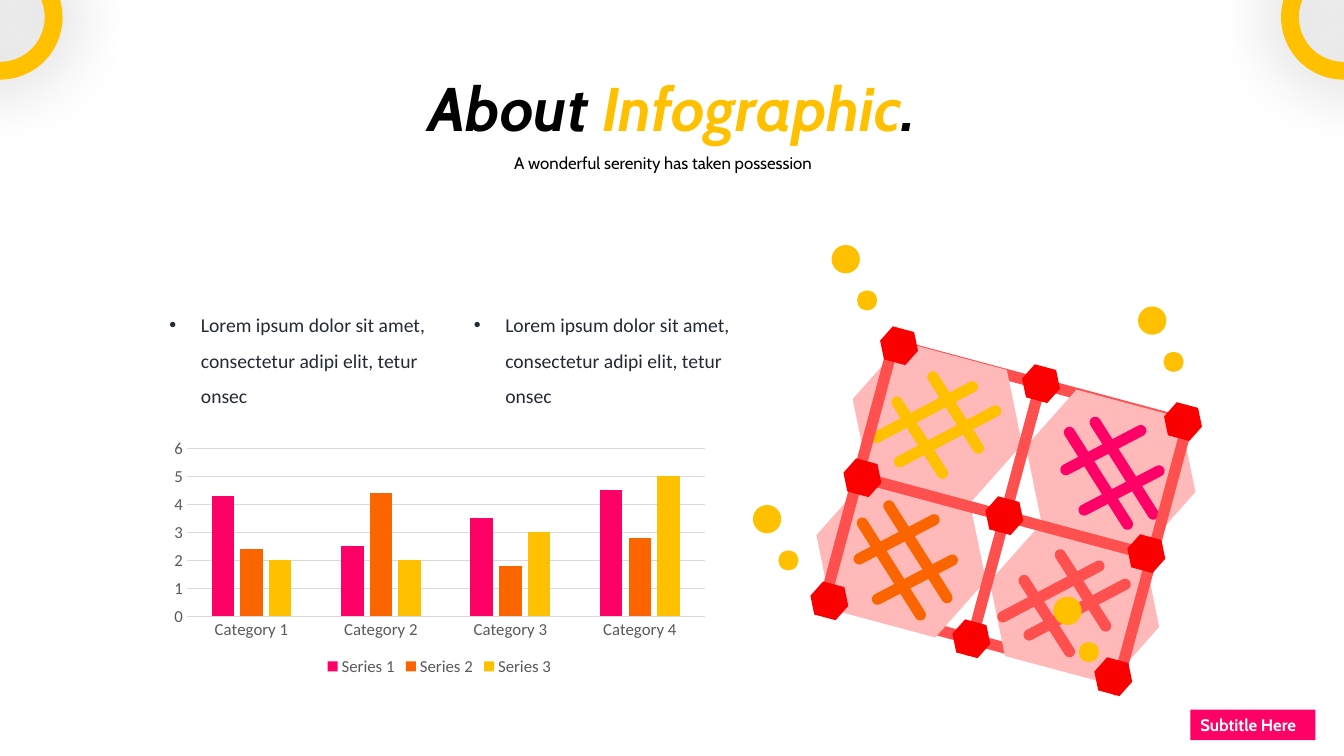
from dataclasses import dataclass
from math import atan2, cos, pi, sin

from lxml.etree import SubElement
from pptx import Presentation
from pptx.chart.data import CategoryChartData
from pptx.dml.color import RGBColor
from pptx.enum.chart import XL_CHART_TYPE, XL_LEGEND_POSITION, XL_TICK_MARK
from pptx.enum.shapes import MSO_SHAPE as SHAPE
from pptx.enum.text import MSO_ANCHOR, MSO_AUTO_SIZE, PP_ALIGN
from pptx.oxml.ns import qn
from pptx.util import Pt


@dataclass(frozen=True)
class Theme:
    black: str = "000000"
    white: str = "FFFFFF"
    body: str = "222A35"
    axis: str = "595959"
    grid: str = "D9D9D9"
    pink: str = "FF0066"
    orange: str = "FA6500"
    yellow: str = "FFC000"
    bar: str = "FF5050"
    panel: str = "FFB9B9"
    node: str = "FB0000"
    display_font: str = "Cabin"
    text_font: str = "Calibri"
    title_size: int = 44
    body_size: int = 14
    small_size: int = 12


T = Theme()

# Content
TITLE = [("About ", T.black), ("Infographic", T.yellow), (".", T.black)]
SUBTITLE = "A wonderful serenity has taken possession"
TAG = "Subtitle Here"
BULLETS = ["Lorem ipsum dolor sit amet, consectetur adipi elit, tetur onsec"] * 2
CATEGORIES = ["Category 1", "Category 2", "Category 3", "Category 4"]
SERIES = [
    ("Series 1", (4.3, 2.5, 3.5, 4.5), T.pink),
    ("Series 2", (2.4, 4.4, 1.8, 2.8), T.orange),
    ("Series 3", (2, 2, 3, 5), T.yellow),
]

# Illustration geometry, in points
TILT = 15
BAR_RADIUS = 4
NODE_START, NODE_STEP = (642.2, 247), (101.4, 27.1)
ROW_OFFSETS = [(0, 0), (-26.2, 94.3), (-49.8, 182.2)]
ROW_BAR = (203.8, 54.7)
COLUMN_START, COLUMN_STEP, COLUMN_BAR = (640.4, 238), (105, 28.4), (-53.2, 198)
NODE_SIZE, PANEL_SIZE = (28, 24.5), (125.3, 97.2)
PANEL_CENTRES = [(793.4, 335.2), (767.5, 431.6), (643.7, 398.5), (669.6, 301.3)]
FALL_LONG, FALL_SHORT = (41.4, 65.5), (32.4, 50.8)
RISE_LONG, RISE_SHORT = (68.6, -36.2), (53.5, -27.9)
# colour, falling stroke, its starts, rising stroke, its starts
HASHES = [
    (T.orange, FALL_LONG, [(616, 373.7), (635, 361.4)],
     RISE_SHORT, [(613.8, 399.2), (626.8, 428)]),
    (T.bar, FALL_SHORT, [(757.4, 396.4), (731.5, 414.7)],
     RISE_LONG, [(735.1, 453.6), (716.4, 440.6)]),
    (T.yellow, FALL_SHORT, [(666.4, 269.3), (640.8, 287.3)],
     RISE_LONG, [(642.6, 329.8), (626, 312.5)]),
    (T.pink, FALL_LONG, [(763.9, 308.9), (782.3, 301.7)],
     RISE_SHORT, [(761.4, 335.5), (774.4, 364.3)]),
]
DOT_PAIRS = [(594, 175), (812.9, 218.9), (537.8, 360.7), (752.4, 426.2)]
DOTS = [(0, 0, 20.2), (18.2, 32.4, 14.4)]  # offset x, offset y, diameter


def paint(sp, color):
    sp.fill.solid()
    sp.fill.fore_color.rgb = RGBColor.from_string(color)
    sp.line.fill.background()
    sp.shadow.inherit = False
    return sp


def add_preset(shapes, kind, x, y, w, h, color):
    return paint(shapes.add_shape(kind, Pt(x), Pt(y), Pt(w), Pt(h)), color)


def add_hexagon(shapes, centre, size, color):
    (x, y), (w, h) = centre, size
    add_preset(shapes, SHAPE.HEXAGON, x - w / 2, y - h / 2, w, h, color).rotation = TILT


def add_bar(shapes, start, vector, color):
    """Draw a round-ended bar whose end caps are centred on start and start + vector."""
    (x, y), (dx, dy) = start, vector
    angle = atan2(dy, dx)
    points = []
    for cx, cy, first in ((x + dx, y + dy, angle - pi / 2), (x, y, angle + pi / 2)):
        for step in range(9):
            a = first + pi * step / 8
            points.append((Pt(cx + BAR_RADIUS * cos(a)), Pt(cy + BAR_RADIUS * sin(a))))
    builder = shapes.build_freeform(*points[0])
    builder.add_line_segments(points[1:], close=True)
    paint(builder.convert_to_shape(), color)


def style(font, size, color, name, bold=False, italic=False):
    font.size, font.name, font.bold, font.italic = Pt(size), name, bold, italic
    font.color.rgb = RGBColor.from_string(color)


def place(sp, x, y, w, h):
    sp.left, sp.top, sp.width, sp.height = Pt(x), Pt(y), Pt(w), Pt(h)


def add_glow(sp):
    """Give the shape a soft, centred dark shadow."""
    effects = sp._element.spPr.find(qn("a:effectLst"))
    shadow = SubElement(effects, qn("a:outerShdw"), blurRad=str(Pt(49)), dist="0",
                        dir="0", algn="ctr", rotWithShape="0")
    color = SubElement(shadow, qn("a:srgbClr"), val=T.black)
    SubElement(color, qn("a:alpha"), val="33000")


def add_texts(slide):
    title, *lists = slide.placeholders
    place(title, 170.6, 46.1, 619.2, 60.5)
    tf = title.text_frame
    tf.vertical_anchor, tf.auto_size = MSO_ANCHOR.TOP, MSO_AUTO_SIZE.NONE
    p = tf.paragraphs[0]
    p.alignment = PP_ALIGN.CENTER
    for text, color in TITLE:
        r = p.add_run()
        r.text = text
        style(r.font, T.title_size, color, T.display_font, bold=True, italic=True)

    for i, (sp, text) in enumerate(zip(lists, BULLETS)):
        place(sp, 121 + i * 217.4, 215.3, 188.6, 73.4)
        tf = sp.text_frame
        tf.text = text
        tf.margin_left = tf.margin_right = tf.margin_top = tf.margin_bottom = 0
        tf.vertical_anchor, tf.auto_size = MSO_ANCHOR.TOP, MSO_AUTO_SIZE.NONE
        p = tf.paragraphs[0]
        p.line_spacing, p.space_before = 1.5, Pt(0)
        pPr = p._p.get_or_add_pPr()
        pPr.set("marL", str(Pt(22.5)))
        pPr.set("indent", str(-Pt(22.5)))
        style(p.runs[0].font, T.body_size, T.body, T.text_font)

    sp = slide.shapes.add_textbox(Pt(314.6), Pt(98.6), Pt(318.2), Pt(26.6))
    tf = sp.text_frame
    tf.word_wrap, tf.text = True, SUBTITLE
    p = tf.paragraphs[0]
    p.alignment, p.line_spacing = PP_ALIGN.CENTER, 1.5
    style(p.runs[0].font, T.small_size, T.black, T.display_font)


def add_illustration(slide):
    art = slide.shapes.add_group_shape().shapes
    x0, y0 = NODE_START
    rows = [(x0 + dx, y0 + dy) for dx, dy in ROW_OFFSETS]
    for i in (0, 2):
        add_bar(art, rows[i], ROW_BAR, T.bar)
    for centre in PANEL_CENTRES:
        add_hexagon(art, centre, PANEL_SIZE, T.panel)
    for color, fall, fall_starts, rise, rise_starts in HASHES:
        for vector, starts in ((fall, fall_starts), (rise, rise_starts)):
            for start in starts:
                add_bar(art, start, vector, color)
    add_bar(art, rows[1], ROW_BAR, T.bar)
    for i in range(3):
        start = [s + i * step for s, step in zip(COLUMN_START, COLUMN_STEP)]
        add_bar(art, start, COLUMN_BAR, T.bar)
    for x, y in rows:
        for i in range(3):
            add_hexagon(art, (x + i * NODE_STEP[0], y + i * NODE_STEP[1]), NODE_SIZE, T.node)
    for x, y in DOT_PAIRS:
        for dx, dy, size in DOTS:
            add_preset(art, SHAPE.OVAL, x + dx, y + dy, size, size, T.yellow)


def add_series_chart(slide):
    data = CategoryChartData()
    data.categories = CATEGORIES
    for name, values, _ in SERIES:
        data.add_series(name, values)
    chart = slide.shapes.add_chart(XL_CHART_TYPE.COLUMN_CLUSTERED, Pt(116.6), Pt(309.6),
                                   Pt(394.6), Pt(176.4), data).chart
    style(chart.font, T.small_size, T.axis, T.text_font)
    chart.has_title = False
    chart.has_legend = True
    chart.legend.position = XL_LEGEND_POSITION.BOTTOM
    chart.legend.include_in_layout = False
    plot = chart.plots[0]
    plot.gap_width, plot.overlap, plot.vary_by_categories = 219, -27, False
    for series, (_, _, color) in zip(plot.series, SERIES):
        series.format.fill.solid()
        series.format.fill.fore_color.rgb = RGBColor.from_string(color)
    values, categories = chart.value_axis, chart.category_axis
    values.minimum_scale, values.maximum_scale, values.major_unit = 0, 6, 1
    for axis in (values, categories):
        axis.major_tick_mark = axis.minor_tick_mark = XL_TICK_MARK.NONE
    for line in (values.major_gridlines.format.line, categories.format.line):
        line.color.rgb = RGBColor.from_string(T.grid)
        line.width = Pt(0.75)
    values.format.line.fill.background()


def add_decoration(slide):
    sp = add_preset(slide.shapes, SHAPE.RECTANGLE, 850.3, 506.9, 89.3, 21.8, T.pink)
    tf = sp.text_frame
    tf.word_wrap, tf.text = False, TAG
    p = tf.paragraphs[0]
    p.alignment = PP_ALIGN.LEFT
    style(p.runs[0].font, T.small_size, T.white, T.display_font, bold=True)
    for x in (-44.6, 915.1):
        ring = add_preset(slide.shapes, SHAPE.DONUT, x, -32.4, 89.3, 89.3, T.yellow)
        ring.adjustments[0] = 0.142
        add_glow(ring)


def main():
    prs = Presentation()
    prs.slide_width, prs.slide_height = Pt(960), Pt(540)
    slide = prs.slides.add_slide(prs.slide_layouts[3])
    add_illustration(slide)
    add_series_chart(slide)
    add_texts(slide)
    add_decoration(slide)
    prs.save("out.pptx")


if __name__ == "__main__":
    main()
